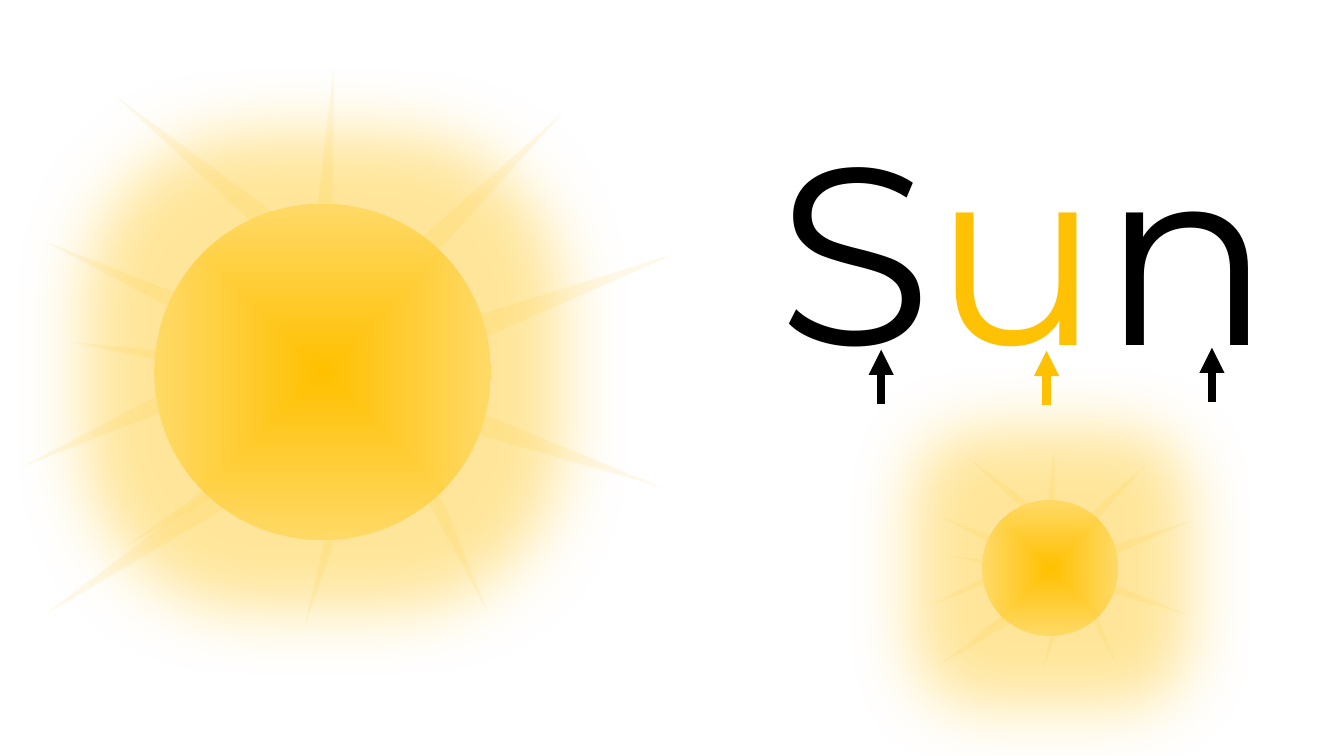
import pptx
import pptx.util
import pptx.dml.color
import pptx.enum.shapes
import pptx.enum.text
import pptx.oxml
import pptx.oxml.ns
from lxml import etree

Inches = pptx.util.Inches
Pt = pptx.util.Pt
RGBColor = pptx.dml.color.RGBColor
MSO_SHAPE = pptx.enum.shapes.MSO_SHAPE
qn = pptx.oxml.ns.qn

BLACK = RGBColor(0x00, 0x00, 0x00)
YELLOW = RGBColor(0xFF, 0xC1, 0x03)
CORE = RGBColor(0xFF, 0xC0, 0x00)
RIM = RGBColor(0xFF, 0xD9, 0x66)
RAY = RGBColor(0xFF, 0xF2, 0xCC)

FONT = "Montserrat"
RAY_SIZE = (0.1, 0.9)  # width and length, in disc diameters
# Offset of each ray's centre from the sun's centre for a disc of
# RAY_DISC inches, and the ray's rotation in degrees
RAY_DISC = 3.34
RAYS = [
    (1.94, 0.65, 109.1), (1.0, 1.03, 154.7), (0.24, 1.09, 196.4),
    (-0.7, 0.93, 237.4), (-1.01, -0.08, 278.2), (-0.91, -1.79, 309.7),
    (0.02, -1.53, 3.5), (1.33, -1.53, 45.3), (2.1, -0.65, 69.5),
    (-1.39, -0.67, 294.6), (-1.62, 0.32, 245.5), (-1.52, 1.58, 236.2),
]


def add_element(parent, tag, **attributes):
    element = etree.SubElement(parent, qn(tag))
    for name, value in attributes.items():
        element.set(name, str(value))
    return element


def add_run(p, text, *, size, color, font=FONT):
    r = p.add_run()
    r.text = text
    r.font.name = font
    r.font.size = Pt(size)
    r.font.color.rgb = color


def add_shape(group, kind, left, top, width, height):
    sp = group.shapes.add_shape(
        kind, Inches(left), Inches(top), Inches(width), Inches(height))
    sp.shadow.inherit = False
    sp.line.fill.background()
    return sp


def add_ray(group, cx, cy, width, length, angle):
    sp = add_shape(group, MSO_SHAPE.ISOSCELES_TRIANGLE,
                   cx - width / 2, cy - length / 2, width, length)
    sp.rotation = angle
    sp.fill.solid()
    sp.fill.fore_color.rgb = RAY
    color = sp.fill._xPr.find(qn("a:solidFill"))[0]
    add_element(color, "a:alpha", val=47000)


def add_disc(group, left, top, diameter):
    """Disc shaded from its centre outwards, with a wide soft glow."""
    sp = add_shape(group, MSO_SHAPE.OVAL, left, top, diameter, diameter)
    sp.fill.gradient()
    for stop, position, color in zip(sp.fill.gradient_stops, (0, 0.99), (CORE, RIM)):
        stop.position = position
        stop.color.rgb = color
    spPr = sp.element.spPr
    gradient = spPr.find(qn("a:gradFill"))
    gradient.remove(gradient.find(qn("a:lin")))
    shading = add_element(gradient, "a:path", path="shape")
    add_element(shading, "a:fillToRect", l=50000, t=50000, r=50000, b=50000)

    glow = add_element(spPr.find(qn("a:effectLst")), "a:glow", rad=Pt(100))
    color = add_element(glow, "a:srgbClr", val=CORE)
    add_element(color, "a:alpha", val=40000)


def add_sun(s, left, top, diameter):
    group = s.shapes.add_group_shape()
    scale = diameter / RAY_DISC
    width, length = (diameter * size for size in RAY_SIZE)
    cx, cy = left + diameter / 2, top + diameter / 2
    for dx, dy, angle in RAYS:
        add_ray(group, cx + dx * scale, cy + dy * scale, width, length, angle)
    add_disc(group, left, top, diameter)


def add_arrow(s, x, bottom, length, color):
    line = s.shapes.add_connector(
        pptx.enum.shapes.MSO_CONNECTOR.STRAIGHT,
        Inches(x), Inches(bottom), Inches(x), Inches(bottom - length))
    line.line.color.rgb = color
    line.line.width = Pt(6)
    add_element(line.line._get_or_add_ln(), "a:tailEnd", type="triangle")
    add_element(line.element.spPr, "a:effectLst")


def add_word(s, left, top, width, height):
    """The word, with an arrow pointing up at each letter."""
    box = s.shapes.add_textbox(
        Inches(left), Inches(top), Inches(width), Inches(height))
    tf = box.text_frame
    tf.word_wrap = True
    tf.auto_size = pptx.enum.text.MSO_AUTO_SIZE.SHAPE_TO_FIT_TEXT
    letters = [("S", BLACK, 0), ("u", YELLOW, 0.01), ("n", BLACK, -0.02)]
    for i, (letter, color, drop) in enumerate(letters):
        add_run(tf.paragraphs[0], letter, size=180, color=color)
        add_arrow(s, left + 1.13 + 1.64 * i, top + height + drop, 0.54, color)


def main():
    prs = pptx.Presentation()
    prs.slide_width, prs.slide_height = Inches(13.33), Inches(7.5)
    s = prs.slides.add_slide(prs.slide_layouts[6])
    add_word(s, 7.61, 0.88, 5.38, 3.13)
    add_sun(s, 1.53, 2.02, 3.34)
    add_sun(s, 9.74, 4.96, 1.35)
    prs.save("out.pptx")


if __name__ == "__main__":
    main()
